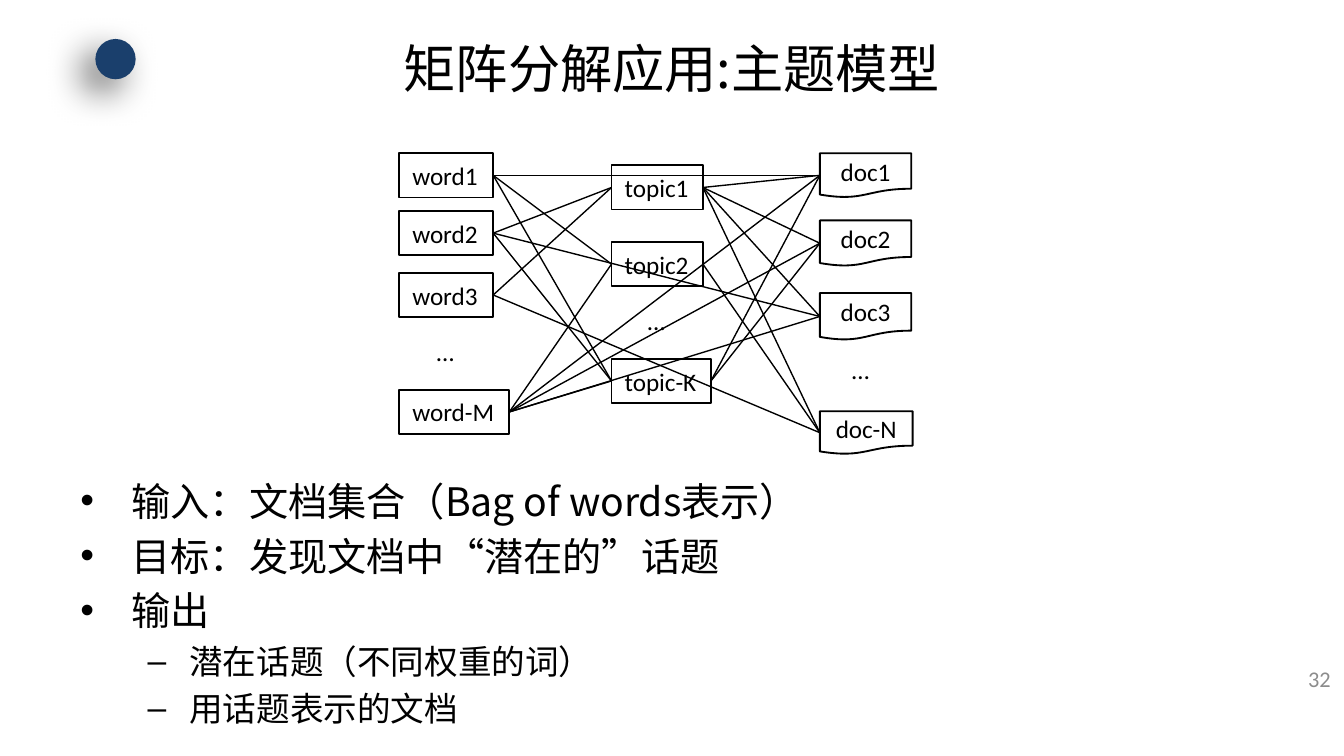
"""Build a slide showing a topic model as a word, topic and document network."""
from lxml import etree
from pptx import Presentation
from pptx.dml.color import RGBColor
from pptx.enum.shapes import MSO_CONNECTOR, MSO_SHAPE
from pptx.enum.text import MSO_ANCHOR, PP_ALIGN
from pptx.oxml import parse_xml
from pptx.oxml.ns import nsdecls, qn
from pptx.util import Inches, Pt

RECT, DOCUMENT, OVAL = MSO_SHAPE.RECTANGLE, MSO_SHAPE.FLOWCHART_DOCUMENT, MSO_SHAPE.OVAL
STRAIGHT = MSO_CONNECTOR.STRAIGHT
LEFT, CENTER, RIGHT = PP_ALIGN.LEFT, PP_ALIGN.CENTER, PP_ALIGN.RIGHT
TOP, MIDDLE = MSO_ANCHOR.TOP, MSO_ANCHOR.MIDDLE
LEFT_SITE, RIGHT_SITE = 1, 3

BLACK = RGBColor(0x00, 0x00, 0x00)
WHITE = RGBColor(0xFF, 0xFF, 0xFF)
NAVY = RGBColor(0x1A, 0x3F, 0x6C)
GRAY = RGBColor(0x8C, 0x8C, 0x8C)
LATIN, CHINESE = "Calibri", "Noto Sans CJK SC"
LABEL_SIZE, NODE_HEIGHT = 13.5, 0.33

TITLE = "矩阵分解应用:主题模型"
PAGE_NUMBER = "32"
BULLETS = [
    (0, "输入：文档集合（Bag of words表示）"),
    (0, "目标：发现文档中“潜在的”话题"),
    (0, "输出"),
    (1, "潜在话题（不同权重的词）"),
    (1, "用话题表示的文档"),
]
LEVELS = [("•", 0.38, -0.38, 21), ("–", 0.81, -0.31, 18)]

COLUMNS = [
    (RECT, 2.97, [("word1", 1.14, 0.7, NODE_HEIGHT), ("word2", 1.57, 0.7, NODE_HEIGHT),
                  ("word3", 2.03, 0.7, NODE_HEIGHT), ("word-M", 2.9, 0.82, NODE_HEIGHT)]),
    (RECT, 4.55, [("topic1", 1.23, 0.68, NODE_HEIGHT), ("topic2", 1.8, 0.68, NODE_HEIGHT),
                  ("topic-K", 2.67, 0.74, NODE_HEIGHT)]),
    (DOCUMENT, 6.1, [("doc1", 1.14, 0.68, 0.33), ("doc2", 1.64, 0.68, 0.34),
                     ("doc3", 2.18, 0.68, 0.35), ("doc-N", 3.06, 0.69, 0.32)]),
]
ELLIPSES = [(3.15, 2.45), (4.72, 2.22), (6.24, 2.59)]
LINKS = {
    "word1": ["topic2", "topic-K", "doc1"],
    "word2": ["topic1", "topic-K", "doc3"],
    "word3": ["topic1", "doc-N"],
    "word-M": ["topic2", "topic-K", "doc1", "doc2", "doc3"],
    "topic1": ["doc1", "doc2", "doc3", "doc-N"],
    "topic2": ["doc-N"],
    "topic-K": ["doc1", "doc2"],
}


def style(para, size, name, color=BLACK, align=LEFT):
    para.alignment = align
    for span in para.runs:
        span.font.size = Pt(size)
        span.font.name = name
        span.font.color.rgb = color
        east_asian = etree.SubElement(span.font._element, qn("a:ea"))
        east_asian.set("typeface", name)


def write(box, text, size, name, color=BLACK, align=LEFT, anchor=MIDDLE, wrap=True):
    frame = box.text_frame
    frame.word_wrap = wrap
    frame.vertical_anchor = anchor
    frame.text = text
    for para in frame.paragraphs:
        style(para, size, name, color, align)


def add_text(page, area, *args, **options):
    box = page.shapes.add_textbox(*map(Inches, area))
    write(box, *args, **options)


def add_dot(page):
    dot = page.shapes.add_shape(OVAL, *map(Inches, (0.71, 0.29, 0.3, 0.3)))
    dot.fill.solid()
    dot.fill.fore_color.rgb = NAVY
    dot.line.fill.background()
    dot._element.spPr.append(parse_xml(
        f'<a:effectLst {nsdecls("a")}>'
        f'<a:outerShdw blurRad="{Pt(20)}" dist="{Pt(10)}" dir="{135 * 60000}" '
        'algn="ctr" rotWithShape="0"><a:srgbClr val="000000"><a:alpha val="60000"/>'
        '</a:srgbClr></a:outerShdw></a:effectLst>'))


def add_bullets(page):
    box = page.shapes.add_textbox(*map(Inches, (0.5, 3.5, 9, 2.17)))
    frame = box.text_frame
    frame.word_wrap = True
    frame.text = "\n".join(text for _, text in BULLETS)
    for index, (para, (level, _)) in enumerate(zip(frame.paragraphs, BULLETS)):
        mark, margin, indent, size = LEVELS[level]
        para.level = level
        if index:
            para.space_before = Pt(0.2 * size)
        properties = para._p.get_or_add_pPr()
        properties.set("marL", str(Inches(margin)))
        properties.set("indent", str(Inches(indent)))
        etree.SubElement(properties, qn("a:buFont")).set("typeface", "Arial")
        etree.SubElement(properties, qn("a:buChar")).set("char", mark)
        style(para, size, CHINESE)


def add_nodes(page):
    nodes = {}
    for kind, left, entries in COLUMNS:
        for label, top, width, height in entries:
            area = map(Inches, (left, top, width, height))
            node = page.shapes.add_shape(kind, *area)
            node.shadow.inherit = False
            node.fill.solid()
            node.fill.fore_color.rgb = WHITE
            node.line.color.rgb = BLACK
            node.line.width = Pt(1)
            align = CENTER if kind == DOCUMENT else LEFT
            write(node, label, LABEL_SIZE, LATIN, align=align, wrap=False)
            nodes[label] = node
    return nodes


def add_link(page, source, target):
    link = page.shapes.add_connector(STRAIGHT, 0, 0, 0, 0)
    link.begin_connect(source, RIGHT_SITE)
    link.end_connect(target, LEFT_SITE)
    link.line.color.rgb = BLACK
    link.line.width = Pt(0.75)
    etree.SubElement(link._element.spPr, qn("a:effectLst"))


def main():
    deck = Presentation()
    deck.slide_width = Inches(10)
    deck.slide_height = deck.slide_width * 9 // 16
    page = deck.slides.add_slide(deck.slide_layouts[6])
    add_dot(page)
    add_text(page, (0.5, 0.23, 9, 0.55), TITLE, 28, CHINESE, align=CENTER)
    add_bullets(page)
    add_text(page, (9.55, 4.9, 0.45, 0.3), PAGE_NUMBER, 12, LATIN, GRAY, RIGHT)
    nodes = add_nodes(page)
    for left, top in ELLIPSES:
        add_text(page, (left, top, 0.33, NODE_HEIGHT), "…", LABEL_SIZE, LATIN,
                 anchor=TOP, wrap=False)
    for source, targets in LINKS.items():
        for target in targets:
            add_link(page, nodes[source], nodes[target])
    deck.save("out.pptx")


if __name__ == "__main__":
    main()
